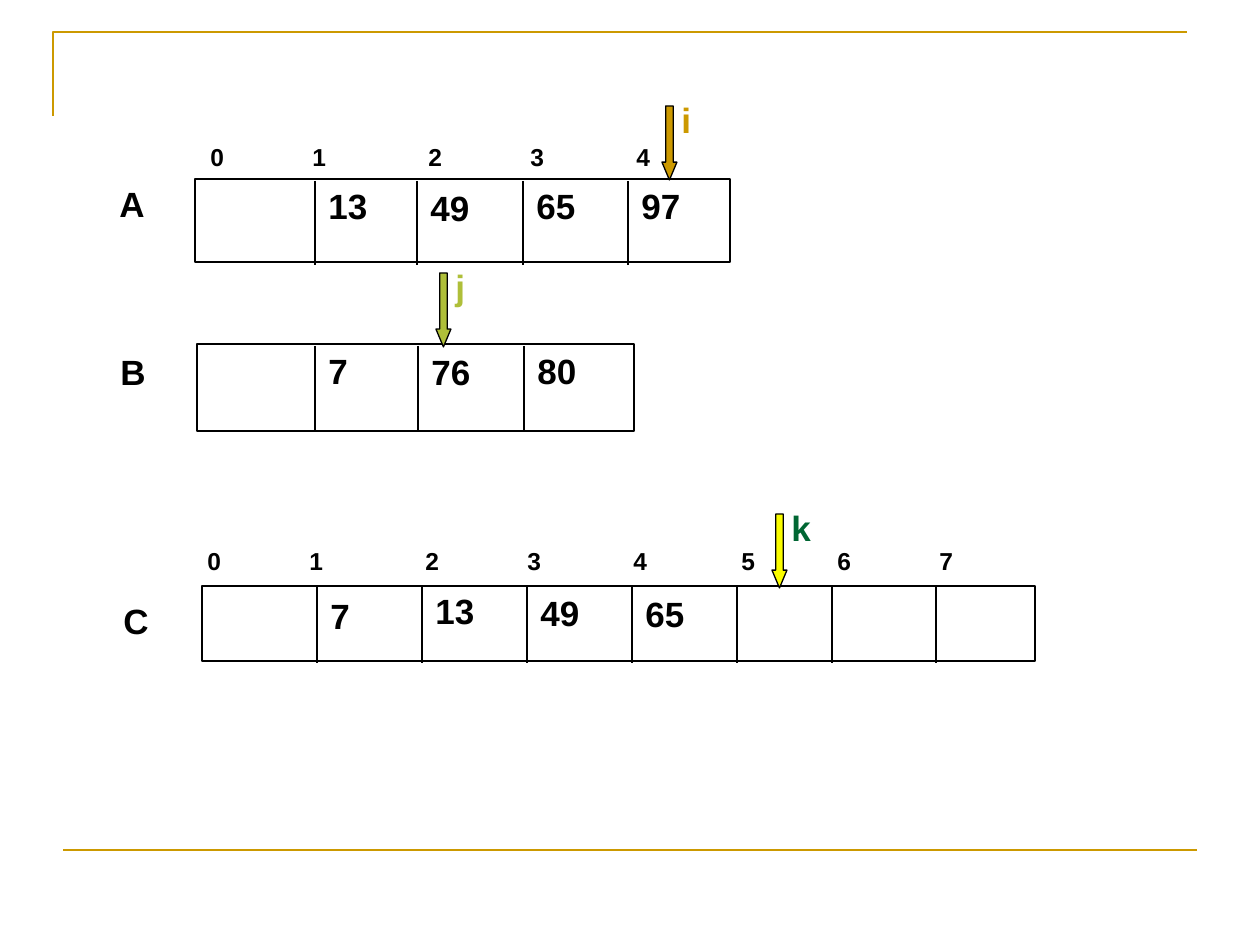
"""Build the slide showing the merge of arrays A and B into array C."""
from lxml import etree
from pptx import Presentation
from pptx.dml.color import RGBColor
from pptx.enum.shapes import MSO_CONNECTOR, MSO_SHAPE
from pptx.enum.text import MSO_AUTO_SIZE
from pptx.oxml.ns import qn
from pptx.util import Pt

STRAIGHT = MSO_CONNECTOR.STRAIGHT
RECT, DOWN_ARROW = MSO_SHAPE.RECTANGLE, MSO_SHAPE.DOWN_ARROW
GROW = MSO_AUTO_SIZE.SHAPE_TO_FIT_TEXT
SCALE = 914400 / 126
THEME = {
    "font": "Arial", "value": 20, "index": 14, "thin": 0.75, "rule": 1.5,
    "black": RGBColor.from_string("000000"),
    "white": RGBColor.from_string("FFFFFF"),
    "gold": RGBColor.from_string("CC9900"),
    "olive": RGBColor.from_string("AFBF39"),
    "yellow": RGBColor.from_string("FAFD00"),
    "green": RGBColor.from_string("006633"),
}
INDEX_TABS = [102, 218, 320, 426, 534, 630, 732]


def px(*lengths):
    return [round(n * SCALE) for n in lengths]


def add_text(shapes, text, box, size="value", color="black", tabs=()):
    tf = shapes.add_textbox(*px(*box)).text_frame
    tf.word_wrap = True
    tf.auto_size = GROW
    p = tf.paragraphs[0]
    p.text = text
    if tabs:
        tab_list = etree.SubElement(p._p.get_or_add_pPr(), qn("a:tabLst"))
        for pos in px(*tabs):
            etree.SubElement(tab_list, qn("a:tab"), pos=str(pos), algn="l")
    p.font.name = THEME["font"]
    p.font.size = Pt(THEME[size])
    p.font.bold = True
    p.font.color.rgb = THEME[color]


prs = Presentation()
prs.slide_width, prs.slide_height = px(1260, 945)
s = prs.slides.add_slide(prs.slide_layouts[6])

builder = s.shapes.build_freeform(53, 116, scale=SCALE)
builder.add_line_segments([(53, 32), (1187, 32)], close=False)
corner = builder.convert_to_shape()
corner.shadow.inherit = False
corner.fill.background()
corner.line.color.rgb = THEME["gold"]
corner.line.width = Pt(THEME["rule"])

arrays = [
    ("A", (107, 176), (195, 179, 535, 83), (181, 265), [315, 417, 523, 628],
     [("13", 178), ("49", 180), ("65", 178), ("97", 178)]),
    ("B", (108, 344), (197, 344, 437, 87), (346, 430), [315, 418, 524],
     [("7", 343), ("76", 344), ("80", 343)]),
    ("C", (111, 593), (202, 586, 833, 75), (586, 663),
     [317, 422, 527, 632, 737, 832, 936],
     [("7", 588), ("13", 583), ("49", 585), ("65", 586)]),
]
lines = [(63, 850, 1197, 850, "gold", "rule")]
for name, label, frame, (top, bottom), dividers, values in arrays:
    sp = s.shapes.add_shape(RECT, *px(*frame))
    sp.shadow.inherit = False
    sp.fill.solid()
    sp.fill.fore_color.rgb = THEME["white"]
    sp.line.color.rgb = THEME["black"]
    sp.line.width = Pt(THEME["thin"])
    lines += [(x, top, x, bottom, "black", "thin") for x in dividers]
    add_text(s.shapes, name, (*label, 84, 55))
    for x, (value, y) in zip(dividers, values):
        add_text(s.shapes, value, (x + 1, y, 84, 55))

for x1, y1, x2, y2, color, width in lines:
    line = s.shapes.add_connector(STRAIGHT, *px(x1, y1, x2, y2))
    line.line.color.rgb = THEME[color]
    line.line.width = Pt(THEME[width])
    etree.SubElement(line._element.spPr, qn("a:effectLst"))

for left, top, width, count in [(198, 136, 535, 5), (195, 540, 839, 8)]:
    indices = "\t".join(str(i) for i in range(count))
    add_text(s.shapes, indices, (left, top, width, 43), "index",
             tabs=INDEX_TABS[:count - 1])

pointers = [
    ("i", 662, 106, "gold", "gold"),
    ("j", 436, 273, "olive", "olive"),
    ("k", 772, 514, "yellow", "green"),
]
for name, x, y, fill, color in pointers:
    group = s.shapes.add_group_shape()
    arrow = group.shapes.add_shape(DOWN_ARROW, *px(x, y, 15, 74))
    arrow.adjustments[0] = 0.5
    arrow.adjustments[1] = 1.19
    arrow.shadow.inherit = False
    arrow.fill.solid()
    arrow.fill.fore_color.rgb = THEME[fill]
    arrow.line.color.rgb = THEME["black"]
    arrow.line.width = Pt(THEME["thin"])
    add_text(group.shapes, name, (x + 7, y - 14, 67, 55), color=color)

prs.save("out.pptx")
